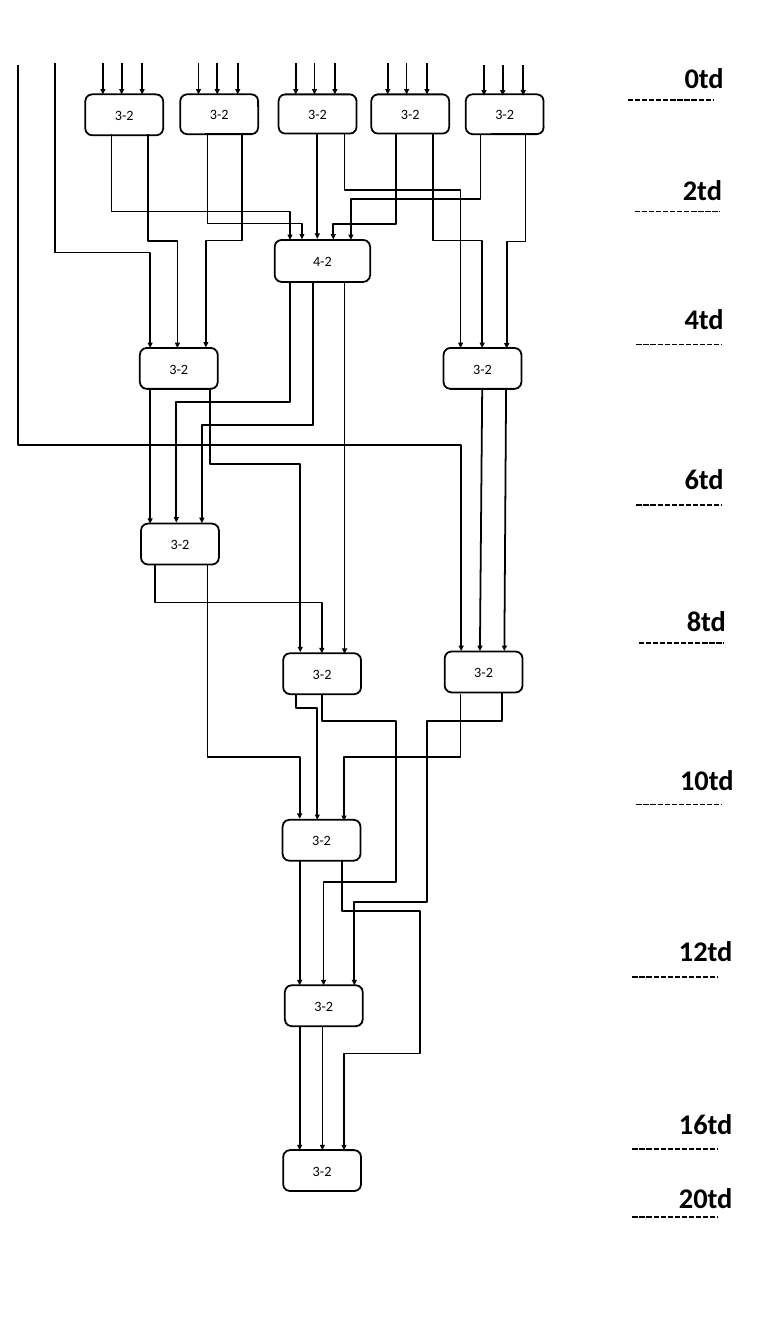
from lxml.etree import SubElement
from pptx import Presentation
from pptx.dml.color import RGBColor
from pptx.enum.dml import MSO_LINE
from pptx.enum.shapes import MSO_CONNECTOR, MSO_SHAPE
from pptx.enum.text import MSO_ANCHOR, PP_ALIGN
from pptx.oxml.ns import qn
from pptx.util import Pt

PX = 9144  # 100 px to the inch
BLACK = RGBColor(0, 0, 0)
WHITE = RGBColor(255, 255, 255)
FONT = "Calibri"

# Adders: left, top, width, height, text
NODES = [
    (150, 166, 137, 72, "3-2"), (317, 166, 137, 70, "3-2"),
    (490, 166, 137, 69, "3-2"), (653, 166, 137, 69, "3-2"),
    (819, 166, 137, 70, "3-2"), (483, 422, 168, 74, "4-2"),
    (246, 612, 137, 72, "3-2"), (780, 612, 137, 72, "3-2"),
    (248, 921, 137, 72, "3-2"), (498, 1149, 137, 72, "3-2"),
    (782, 1146, 137, 72, "3-2"), (497, 1442, 137, 72, "3-2"),
    (501, 1733, 137, 72, "3-2"), (498, 2023, 137, 72, "3-2"),
]

# Three inputs to each adder of the first row: x of the first, top, bottom
INPUTS = [(181, 111, 166), (349, 111, 166), (520, 111, 166),
          (682, 111, 166), (851, 114, 168)]
STEPS = (0, 33, 69)

# Straight arrows: start x, start y, end x, end y
DROPS = [
    (558, 235, 558, 420), (264, 684, 264, 921), (848, 684, 844, 1145),
    (890, 684, 887, 1145), (606, 498, 606, 1150), (527, 1514, 527, 1733),
    (527, 1805, 527, 2023), (567, 1805, 567, 2023),
]

# Stepped arrows: start x, start y, then level and next x per step, end y
STEPPED = [
    (196, 236, 372, 510, 422), (365, 236, 393, 531, 421),
    (696, 235, 394, 586, 421), (845, 236, 350, 617, 422),
    (260, 236, 424, 312, 612), (97, 111, 444, 264, 612),
    (426, 235, 423, 362, 611), (606, 235, 334, 810, 612),
    (761, 235, 423, 848, 612), (924, 237, 425, 891, 613),
    (510, 495, 707, 310, 919), (550, 498, 747, 355, 920),
    (32, 114, 782, 811, 1145), (369, 686, 816, 528, 1147),
    (273, 993, 1060, 566, 1149), (365, 993, 1331, 527, 1440),
    (520, 1220, 1245, 558, 1442), (810, 1221, 1332, 605, 1444),
    (566, 1221, 1268, 697, 1551, 569, 1733),
    (883, 1217, 1268, 751, 1587, 623, 1733),
    (601, 1515, 1602, 739, 1853, 605, 2023),
]

# Delay marks: text, text left, text top, line left, line top
MARKS = [
    ("0td", 94, 1, 4, 76), ("2td", 91, 198, 16, 272),
    ("4td", 94, 424, 19, 506), ("6td", 94, 706, 19, 788),
    ("8td", 98, 956, 23, 1031), ("10td", 86, 1235, 19, 1315),
    ("12td", 84, 1536, 12, 1619), ("16td", 84, 1841, 12, 1921),
    ("20td", 84, 1970, 12, 2041),
]


def px(*vals):
    return [round(v * PX) for v in vals]


def put_text(shape, text, size, align, bold=False):
    para = shape.text_frame.paragraphs[0]
    para.text = text
    para.alignment = align
    font = para.runs[0].font
    font.name, font.size, font.bold = FONT, Pt(size), bold
    font.color.rgb = BLACK


def add_line(slide, kind, x1, y1, x2, y2, head=False):
    line = slide.shapes.add_connector(kind, *px(x1, y1, x2, y2))
    line.line.color.rgb = BLACK
    line.line.width = Pt(2.25)
    props = line.element.spPr
    if head:
        SubElement(props.find(qn("a:ln")), qn("a:tailEnd"), type="triangle")
    SubElement(props, qn("a:effectLst"))
    return line


def add_elbow(slide, x1, y1, level, x2, y2, head):
    """Go down to the level, across, and down again."""
    midx, midy = (x1 + x2) / 2, (y1 + y2) / 2
    long, wide = (y2 - y1) / 2, abs(x2 - x1) / 2
    line = add_line(slide, MSO_CONNECTOR.ELBOW, midx - long, midy - wide,
                    midx + long, midy + wide, head)
    frame = line.element.spPr.find(qn("a:xfrm"))
    if x2 > x1:
        frame.set("rot", "16200000")
        frame.set("flipH", "1")
    else:
        frame.set("rot", "5400000")
    geom = line.element.spPr.find(qn("a:prstGeom"))
    ratio = round((level - y1) / (y2 - y1) * 100000)
    SubElement(geom.find(qn("a:avLst")), qn("a:gd"),
               name="adj1", fmla=f"val {ratio}")


def add_route(slide, left, top, route):
    """Draw one elbow per step, joined halfway between levels."""
    xs = [left + x for x in (route[0], *route[3::2])]
    levels = [top + y for y in route[2:-1:2]]
    joints = [(a + b) / 2 for a, b in zip(levels, levels[1:])]
    ends = [top + route[1], *joints, top + route[-1]]
    for i, level in enumerate(levels):
        add_elbow(slide, xs[i], ends[i], level, xs[i + 1], ends[i + 1],
                  i == len(levels) - 1)


def add_tree(slide, left, top):
    # Adders
    for x, y, wide, high, text in NODES:
        node = slide.shapes.add_shape(MSO_SHAPE.ROUNDED_RECTANGLE,
                                      *px(left + x, top + y, wide, high))
        node.shadow.inherit = False
        node.fill.solid()
        node.fill.fore_color.rgb = WHITE
        node.line.color.rgb = BLACK
        node.line.width = Pt(2.25)
        node.text_frame.vertical_anchor = MSO_ANCHOR.MIDDLE
        put_text(node, text, 18, PP_ALIGN.CENTER)
    # Straight arrows
    feeds = [(x + step, y1, x + step, y2)
             for x, y1, y2 in INPUTS for step in STEPS]
    for x1, y1, x2, y2 in feeds + DROPS:
        add_line(slide, MSO_CONNECTOR.STRAIGHT, left + x1, top + y1,
                 left + x2, top + y2, True)
    # Stepped arrows
    for route in STEPPED:
        add_route(slide, left, top, route)


def add_marks(slide, left, top):
    for text, x, y, linex, liney in MARKS:
        start, level = left + linex, top + liney
        dash = add_line(slide, MSO_CONNECTOR.STRAIGHT, start, level,
                        start + 150, level)
        dash.line.dash_style = MSO_LINE.SQUARE_DOT
        wide = 91 if len(text) == 3 else 119
        label = slide.shapes.add_textbox(*px(left + x, top + y, wide, 71))
        label.text_frame.word_wrap = False
        put_text(label, text, 36, PP_ALIGN.LEFT, True)


def main():
    deck = Presentation()
    deck.slide_width, deck.slide_height = px(1333, 2364)
    slide = deck.slides.add_slide(deck.slide_layouts[6])
    add_tree(slide, 0, 0)
    add_marks(slide, 1100, 100)
    deck.save("out.pptx")


if __name__ == "__main__":
    main()
